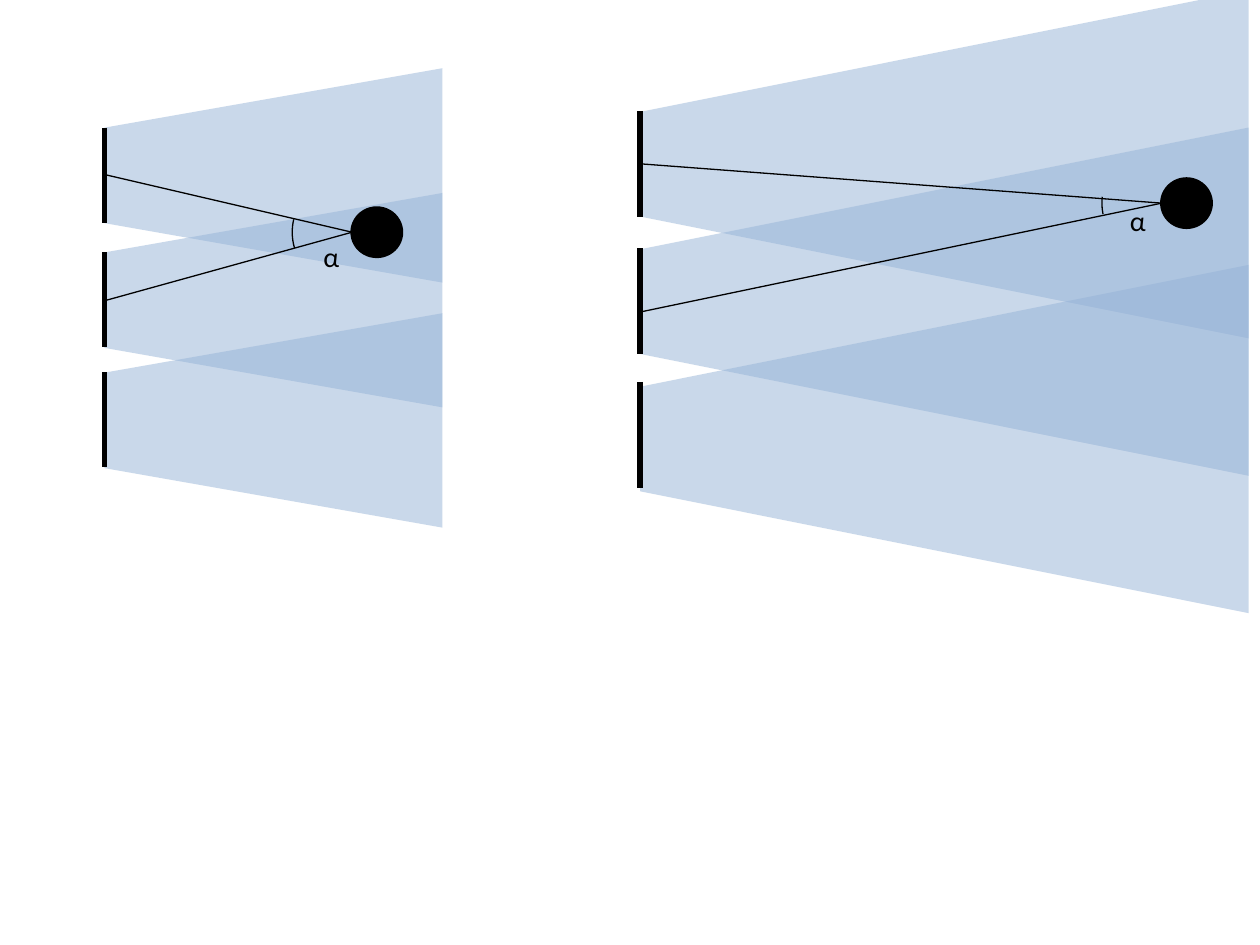
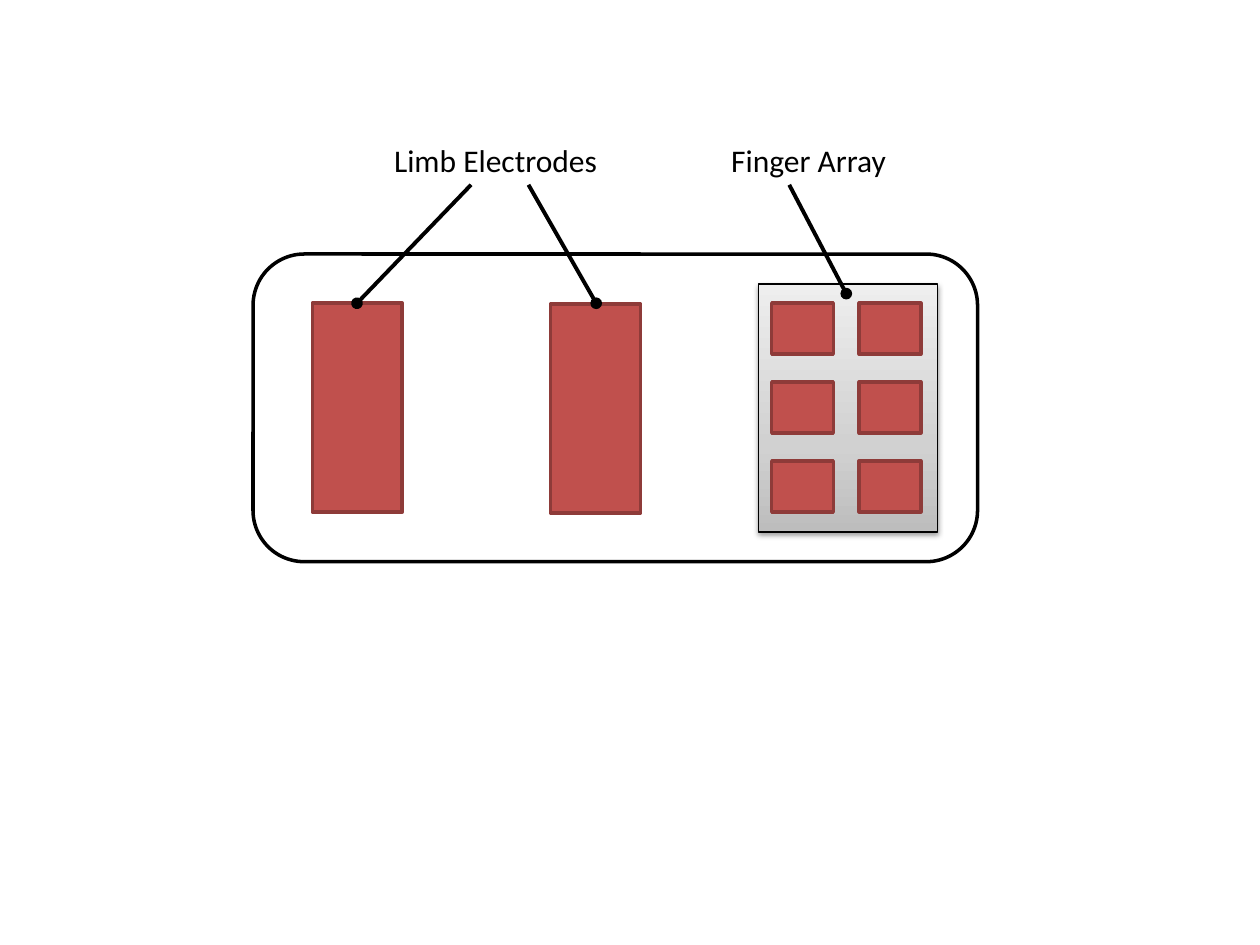
from copy import deepcopy
from lxml.etree import SubElement
from pptx import Presentation
from pptx.dml.color import RGBColor
from pptx.enum.shapes import MSO_CONNECTOR, MSO_SHAPE
from pptx.oxml.ns import qn
from pptx.util import Pt

BLACK = RGBColor(0x00, 0x00, 0x00)
WHITE = RGBColor(0xFF, 0xFF, 0xFF)
BEAM_BLUE = RGBColor(0x95, 0xB3, 0xD7)
ELECTRODE_RED = RGBColor(0xC0, 0x50, 0x4D)
ELECTRODE_EDGE = RGBColor(0x8E, 0x3B, 0x39)
ARRAY_GREYS = [
    (0, RGBColor(0xBD, 0xBD, 0xBD)),
    (0.35, RGBColor(0xD1, 0xD1, 0xD1)),
    (1, RGBColor(0xEE, 0xEE, 0xEE)),
]
FONT = "Calibri"

BEAM_SETUPS = [
    dict(
        emitter_x=59.6, far_x=252.8,
        beam_tops=(73, 144.3, 213), beam_height=54.5, spread=34,
        emitter_tops=(73, 144, 212.6), emitter_height=54.4,
        target=(215.3, 132.7), ray_starts=(99.7, 171.9),
        arc_angles=(98.758, 115.474), label_at=(177.8, 133.2),
    ),
    dict(
        emitter_x=365.8, far_x=713.5,
        beam_tops=(64, 142.5, 221), beam_height=59.8, spread=69.6,
        emitter_tops=(63.4, 141.8, 218.2), emitter_height=60.4,
        target=(678, 116.1), ray_starts=(93.6, 178.3),
        arc_angles=(101.69, 111.656), label_at=(638.6, 112.5),
    ),
]
TARGET_SIZE = (28.2, 27.6)
ARC_SIZE = (68.4, 66.2)

HOUSING = (144.6, 145.2, 414, 175.8)
LIMB_ELECTRODES = [(178.5, 173.2, 51.4, 119.5), (314.6, 173.8, 51.4, 119.5)]
FINGER_ARRAY = (433.6, 162.3, 102.2, 141.7)
PAD_ORIGIN = (441, 173.2)
PAD_PITCH = (50, 45.1)
PAD_SIZE = (35.2, 29.2)
POINTERS = [
    (269.2, 105.6, 204, 173.3),
    (302, 105.6, 340.7, 173.3),
    (451, 105.6, 483.6, 167.8),
]
CAPTIONS = "Limb Electrodes\tFinger Array"
CAPTION_BOX = (218.1, 77, 317.5, 29)
CAPTION_TAB = 192.6


def add_line(slide, ends, width, dot_end=False):
    line = slide.shapes.add_connector(MSO_CONNECTOR.STRAIGHT, *map(Pt, ends))
    line.line.color.rgb = BLACK
    line.line.width = Pt(width)
    properties = line._element.spPr
    if dot_end:
        SubElement(properties.find(qn("a:ln")), qn("a:tailEnd"), type="oval")
    SubElement(properties, qn("a:effectLst"))


def add_block(slide, kind, box, fill, edge, width):
    block = slide.shapes.add_shape(kind, *map(Pt, box))
    block.shadow.inherit = False
    if fill is None:
        block.fill.background()
    else:
        block.fill.solid()
        block.fill.fore_color.rgb = fill
    block.line.color.rgb = edge
    block.line.width = Pt(width)
    return block


def add_electrode(slide, box):
    add_block(slide, MSO_SHAPE.RECTANGLE, box, ELECTRODE_RED, ELECTRODE_EDGE, 2)


def add_label(slide, box, text, size, wrap=False, tab=None):
    label = slide.shapes.add_textbox(*map(Pt, box))
    label.text_frame.word_wrap = wrap
    paragraph = label.text_frame.paragraphs[0]
    if tab is not None:
        tabs = SubElement(paragraph._p.get_or_add_pPr(), qn("a:tabLst"))
        SubElement(tabs, qn("a:tab"), pos=str(Pt(tab)), algn="l")
    run = paragraph.add_run()
    run.text = text
    run.font.name = FONT
    run.font.size = Pt(size)
    run.font.color.rgb = BLACK


def add_beam(slide, near_x, far_x, top, height, spread):
    bottom = top + height
    corners = [
        (Pt(near_x), Pt(top)),
        (Pt(far_x), Pt(top - spread)),
        (Pt(far_x), Pt(bottom + spread)),
        (Pt(near_x), Pt(bottom)),
    ]
    outline = slide.shapes.build_freeform(*corners[0], scale=1)
    outline.add_line_segments(corners[1:], close=True)
    beam = outline.convert_to_shape()
    beam.shadow.inherit = False
    beam.fill.solid()
    beam.fill.fore_color.rgb = BEAM_BLUE
    beam.line.fill.background()
    color = beam._element.spPr.find(qn("a:solidFill"))[0]
    SubElement(color, qn("a:alpha"), val="50000")


def centred(center, size):
    return (center[0] - size[0] / 2, center[1] - size[1] / 2, *size)


def add_beam_setup(slide, setup):
    near_x = setup["emitter_x"]
    for top in setup["beam_tops"]:
        add_beam(slide, near_x, setup["far_x"], top, setup["beam_height"], setup["spread"])
    for top in setup["emitter_tops"]:
        add_line(slide, (near_x, top, near_x, top + setup["emitter_height"]), 3)

    target = setup["target"]
    add_block(slide, MSO_SHAPE.OVAL, centred(target, TARGET_SIZE), BLACK, BLACK, 2)
    vertex = (target[0] - TARGET_SIZE[0] / 2, target[1])
    for start_y in setup["ray_starts"]:
        add_line(slide, (near_x, start_y, *vertex), 0.75)

    arc = add_block(slide, MSO_SHAPE.ARC, centred(vertex, ARC_SIZE), None, BLACK, 0.75)
    for index, angle in enumerate(setup["arc_angles"]):
        arc.adjustments[index] = angle
    add_label(slide, (*setup["label_at"], 23.8, 26.6), "α", 16)


def add_finger_array(slide):
    plate = add_block(slide, MSO_SHAPE.RECTANGLE, FINGER_ARRAY, WHITE, BLACK, 0.75)
    plate.fill.gradient()
    plate.fill.gradient_angle = 90
    stops = plate._element.spPr.find(qn("a:gradFill")).find(qn("a:gsLst"))
    stops.insert(1, deepcopy(stops[0]))
    for stop, (position, grey) in zip(plate.fill.gradient_stops, ARRAY_GREYS):
        stop.position = position
        stop.color.rgb = grey

    effects = plate._element.spPr.find(qn("a:effectLst"))
    shadow = SubElement(effects, qn("a:outerShdw"), blurRad=str(Pt(3.1)),
                        dist=str(Pt(1.6)), dir="5400000", rotWithShape="0")
    shade = SubElement(shadow, qn("a:srgbClr"), val=str(BLACK))
    SubElement(shade, qn("a:alpha"), val="38000")

    for row in range(3):
        for column in range(2):
            left = PAD_ORIGIN[0] + column * PAD_PITCH[0]
            top = PAD_ORIGIN[1] + row * PAD_PITCH[1]
            add_electrode(slide, (left, top, *PAD_SIZE))


def main():
    deck = Presentation()
    deck.slide_width, deck.slide_height = Pt(720), Pt(540)
    blank = deck.slide_layouts[6]

    beams = deck.slides.add_slide(blank)
    for setup in BEAM_SETUPS:
        add_beam_setup(beams, setup)

    device = deck.slides.add_slide(blank)
    add_block(device, MSO_SHAPE.ROUNDED_RECTANGLE, HOUSING, WHITE, BLACK, 2)
    for box in LIMB_ELECTRODES:
        add_electrode(device, box)
    add_finger_array(device)
    for ends in POINTERS:
        add_line(device, ends, 2.25, dot_end=True)
    add_label(device, CAPTION_BOX, CAPTIONS, 18, wrap=True, tab=CAPTION_TAB)

    deck.save("out.pptx")


if __name__ == "__main__":
    main()
